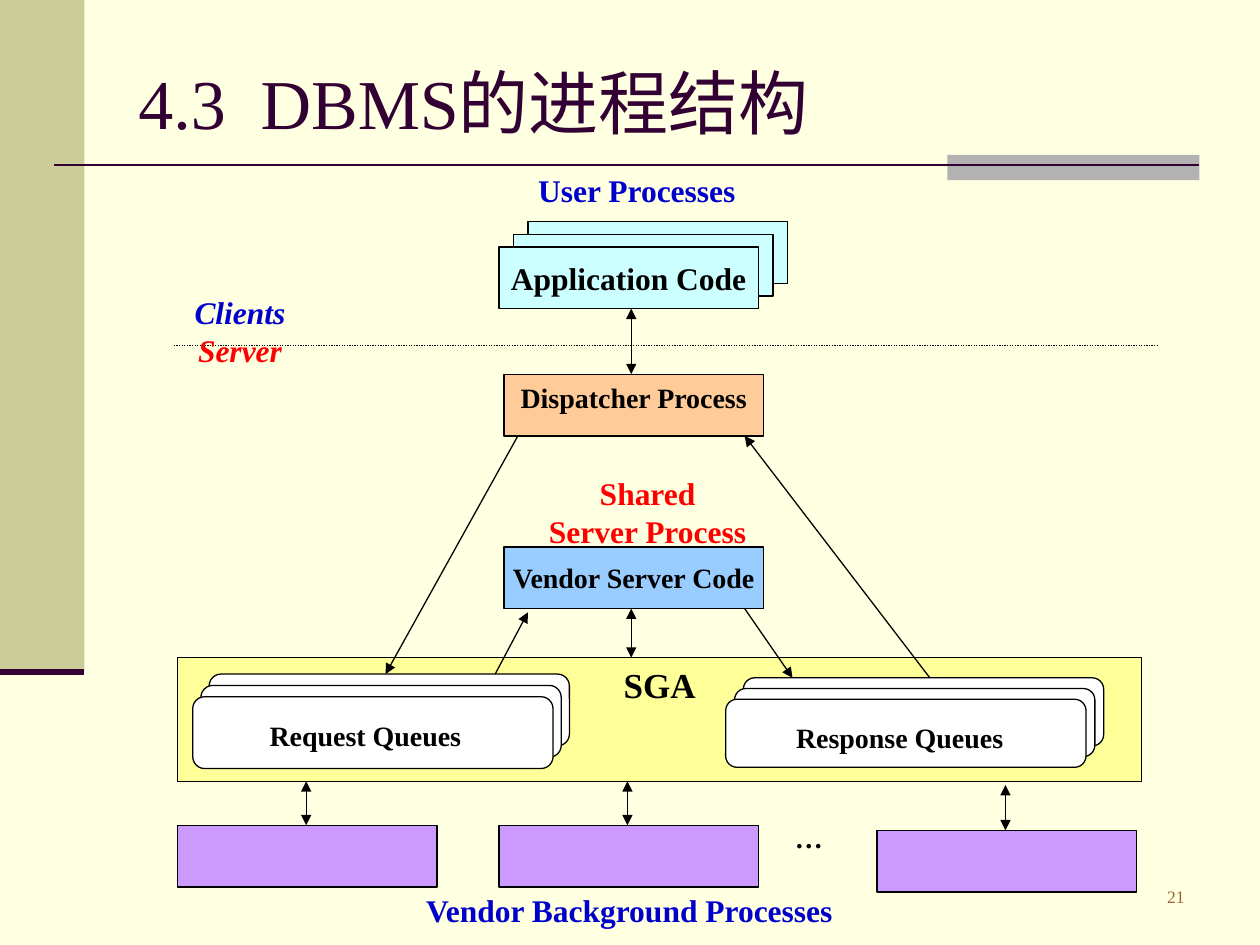
from lxml.etree import SubElement
from pptx import Presentation
from pptx.dml.color import RGBColor
from pptx.enum.dml import MSO_LINE
from pptx.enum.shapes import MSO_CONNECTOR, MSO_SHAPE
from pptx.enum.text import MSO_ANCHOR as ANCHOR, PP_ALIGN as ALIGN
from pptx.oxml.ns import qn
from pptx.util import Inches, Pt

FONT = "Times New Roman"
BLACK, PLUM, BLUE, RED = "000000", "330033", "0000CC", "FF0000"
CYAN, VIOLET, WHITE = "CCFFFF", "CC99FF", "FFFFFF"
BOX_W, BOX_H = 2.06, 0.49
INSET = (0.1, 0.05)

# Content: (text, place, format)
LABELS = [
    ("4.3  DBMS的进程结构", (1, 0.3, 8.5, 1.01),
     dict(size=40, color=PLUM, bold=False, align=ALIGN.LEFT, anchor=ANCHOR.MIDDLE)),
    ("User Processes", (3.93, 1.31, 2.25, 0.55), dict(color=BLUE)),
    ("Clients", (1.38, 2.28, 1.05, 0.55), dict(color=BLUE, italic=True)),
    ("Server", (1.38, 2.58, 1.05, 0.55), dict(color=RED, italic=True)),
    ("Shared\nServer Process", (3.96, 3.72, 2.36, 0.68),
     dict(color=RED, anchor=ANCHOR.MIDDLE, inset=(0, 0))),
    ("Request Queues", (1.76, 5.65, 2.28, 0.33), dict(size=16)),
    ("Response Queues", (6, 5.67, 2.28, 0.32), dict(size=16)),
    ("…", (6.21, 6.46, 0.79, 0.52), dict(size=16, align=ALIGN.LEFT)),
    ("Vendor Background Processes", (3.14, 6.95, 3.71, 0.55),
     dict(color=BLUE, anchor=ANCHOR.MIDDLE, inset=(0, 0))),
    ("21", (8.23, 6.98, 1.27, 0.35),
     dict(size=10, color="996633", bold=False, align=ALIGN.RIGHT)),
]

# (text, place, fill, format)
BOXES = [
    ("Dispatcher Process", (4, 2.97, BOX_W, BOX_H), "FFCC99", dict(size=16)),
    ("Vendor Server Code", (4, 4.34, BOX_W, BOX_H), "99CCFF",
     dict(size=16, anchor=ANCHOR.MIDDLE, inset=(0.02, 0))),
    ("SGA", (1.41, 5.22, 7.65, 0.98), "FFFF99", dict(size=20)),
]
BACKGROUND_PROCESSES = [(1.41, 6.55), (3.96, 6.55), (6.96, 6.59)]

# Stacks of three: front card, step to the next card behind, preset, fill
STACKS = [
    ((3.96, 1.96, BOX_W, BOX_H), (0.115, -0.1), MSO_SHAPE.RECTANGLE, CYAN),
    ((1.53, 5.53, 2.86, 0.57), (0.065, -0.09),
     MSO_SHAPE.FLOWCHART_ALTERNATE_PROCESS, WHITE),
    ((5.76, 5.55, 2.86, 0.54), (0.07, -0.085),
     MSO_SHAPE.FLOWCHART_ALTERNATE_PROCESS, WHITE),
]

TWO_WAY_ARROWS = [
    ((5.01, 2.97), (5.01, 2.45)), ((5.01, 5.22), (5.01, 4.83)),
    ((2.43, 6.2), (2.43, 6.55)), ((4.98, 6.2), (4.98, 6.55)),
    ((7.98, 6.23), (7.98, 6.59)),
]
ONE_WAY_ARROWS = [
    ((4.11, 3.46), (3.06, 5.35)), ((7.38, 5.38), (5.91, 3.46)),
    ((3.93, 5.35), (4.19, 4.86)), ((5.91, 4.83), (6.29, 5.38)),
]


def rgb(color):
    return RGBColor.from_string(color)


def write(shape, text, size=18, color=BLACK, bold=True, italic=False,
          align=ALIGN.CENTER, anchor=ANCHOR.TOP, inset=INSET):
    frame = shape.text_frame
    frame.word_wrap = True
    frame.vertical_anchor = anchor
    frame.margin_left = frame.margin_right = Inches(inset[0])
    frame.margin_top = frame.margin_bottom = Inches(inset[1])
    frame.text = text
    for paragraph in frame.paragraphs:
        paragraph.alignment = align
        for run in paragraph.runs:
            font = run.font
            font.name, font.size = FONT, Pt(size)
            font.bold, font.italic = bold, italic
            font.color.rgb = rgb(color)


def add_box(place, fill, preset=MSO_SHAPE.RECTANGLE, outline=True):
    shape = slide.shapes.add_shape(preset, *map(Inches, place))
    shape.shadow.inherit = False
    shape.fill.solid()
    shape.fill.fore_color.rgb = rgb(fill)
    if outline:
        shape.line.color.rgb = rgb(BLACK)
        shape.line.width = Pt(0.75)
    else:
        shape.line.fill.background()
    return shape


def add_line(start, end, color=BLACK, width=0.75, arrows=(), dash=None):
    line = slide.shapes.add_connector(
        MSO_CONNECTOR.STRAIGHT, *map(Inches, start + end))
    line.line.color.rgb = rgb(color)
    line.line.width = Pt(width)
    if dash:
        line.line.dash_style = dash
    properties = line._element.spPr
    for arrow in arrows:
        SubElement(properties.find(qn("a:ln")), qn(f"a:{arrow}"), type="triangle")
    SubElement(properties, qn("a:effectLst"))


presentation = Presentation()
presentation.slide_width, presentation.slide_height = Inches(10), Inches(7.5)
slide = presentation.slides.add_slide(presentation.slide_layouts[6])
slide.background.fill.solid()
slide.background.fill.fore_color.rgb = rgb("FFFFE1")

# Side band and title rule
add_box((0, 0, 0.67, 5.33), "CCCC99", outline=False)
add_box((7.52, 1.23, 2, 0.2), "B2B2B2", outline=False)
add_line((0.43, 1.31), (9.52, 1.31), PLUM, 1.5)
add_line((0, 5.33), (0.67, 5.33), PLUM, 3.5)

# Border between clients and server
add_line((1.38, 2.74), (9.18, 2.74), dash=MSO_LINE.ROUND_DOT)

# Process boxes
for text, place, fill, style in BOXES:
    write(add_box(place, fill), text, **style)
for left, top in BACKGROUND_PROCESSES:
    add_box((left, top, BOX_W, BOX_H), VIOLET)

# Stacked cards, from back to front
for (left, top, width, height), (dx, dy), preset, fill in STACKS:
    for depth in (2, 1, 0):
        card = add_box((left + depth * dx, top + depth * dy, width, height),
                       fill, preset)
    if fill == CYAN:
        write(card, "Application Code", anchor=ANCHOR.MIDDLE, inset=(0, 0))

# Arrows
for start, end in TWO_WAY_ARROWS:
    add_line(start, end, arrows=("headEnd", "tailEnd"))
for start, end in ONE_WAY_ARROWS:
    add_line(start, end, arrows=("tailEnd",))

# Title and labels
for text, place, style in LABELS:
    write(slide.shapes.add_textbox(*map(Inches, place)), text, **style)

presentation.save("out.pptx")
